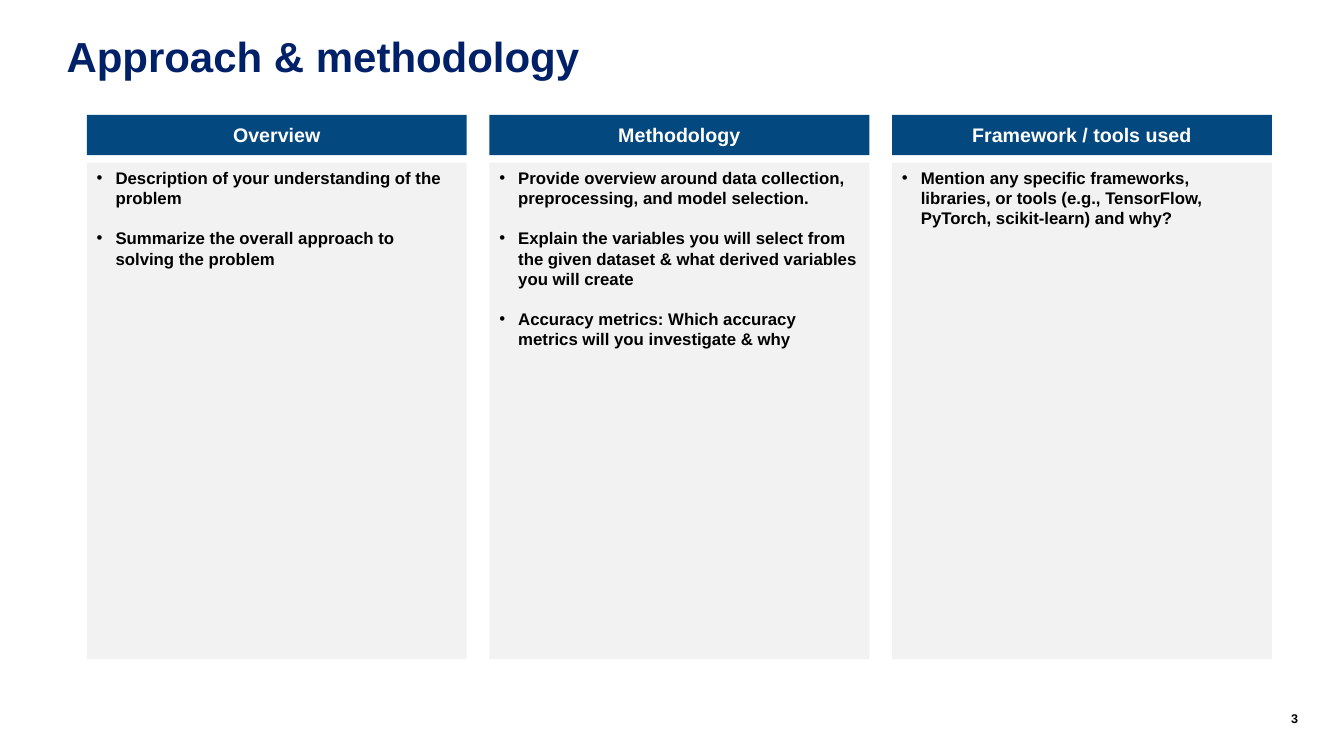
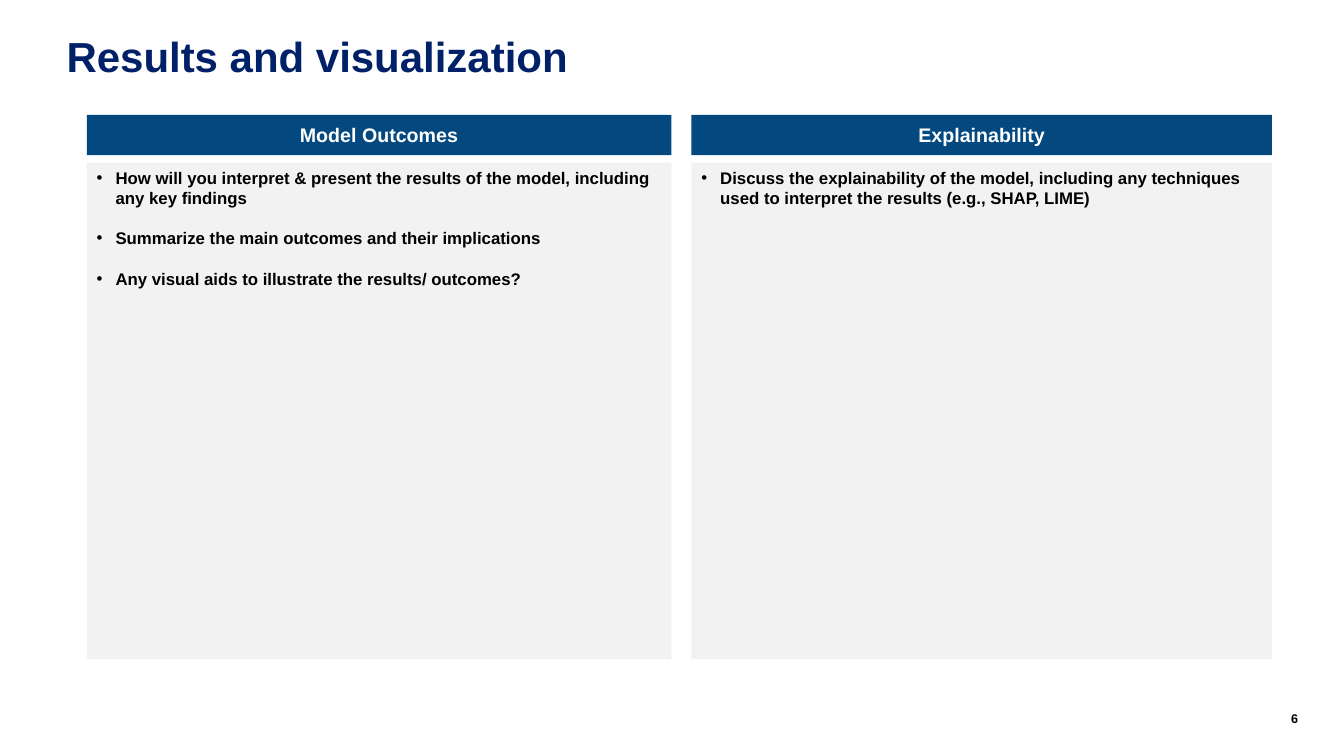
"""Build two slides of headed panels: approach and results."""
from dataclasses import dataclass

from lxml import etree
from pptx import Presentation
from pptx.dml.color import RGBColor
from pptx.enum.shapes import MSO_SHAPE
from pptx.enum.text import MSO_ANCHOR, PP_ALIGN
from pptx.oxml.ns import qn
from pptx.util import Pt

RECTANGLE = MSO_SHAPE.RECTANGLE
TOP, MIDDLE = MSO_ANCHOR.TOP, MSO_ANCHOR.MIDDLE
LEFT, CENTER, RIGHT = PP_ALIGN.LEFT, PP_ALIGN.CENTER, PP_ALIGN.RIGHT

NAVY = RGBColor(0x00, 0x20, 0x68)
BLUE = RGBColor(0x03, 0x48, 0x7F)
GRAY = RGBColor(0xF2, 0xF2, 0xF2)
BLACK = RGBColor(0x00, 0x00, 0x00)
WHITE = RGBColor(0xFF, 0xFF, 0xFF)

FONT = "Arial"
CONTENT_LEFT, CONTENT_WIDTH = 62, 846.6
HEADER_TOP, HEADER_HEIGHT = 82, 28.8
BODY_TOP, BODY_HEIGHT = 116.2, 354.6
BODY_LINE = Pt(14.4)
BULLET_INDENT = 13.5
THIRD, WIDE, NARROW = 271.4, 417.6, 414.7


@dataclass(frozen=True)
class Panel:
    """A headed column of bullets."""
    header: str
    width: float
    bullets: tuple[str, ...]


@dataclass(frozen=True)
class PanelSlide:
    """A title, a slide number and its panels."""
    title: str
    number: int
    panels: tuple[Panel, ...]


SLIDES = (
    PanelSlide("Approach & methodology", 3, (
        Panel("Overview", THIRD, (
            "Description of your understanding of the problem",
            "Summarize the overall approach to solving the problem",
        )),
        Panel("Methodology", THIRD, (
            "Provide overview around data collection, preprocessing, and model selection.",
            "Explain the variables you will select from the given dataset "
            "& what derived variables you will create",
            "Accuracy metrics: Which accuracy metrics will you investigate & why",
        )),
        Panel("Framework / tools used", THIRD, (
            "Mention any specific frameworks, libraries, or tools "
            "(e.g., TensorFlow, PyTorch, scikit-learn) and why?",
        )),
    )),
    PanelSlide("Results and visualization", 6, (
        Panel("Model Outcomes", WIDE, (
            "How will you interpret & present the results of the model, "
            "including any key findings",
            "Summarize the main outcomes and their implications",
            "Any visual aids to illustrate the results/ outcomes?",
        )),
        Panel("Explainability", NARROW, (
            "Discuss the explainability of the model, including any techniques "
            "used to interpret the results (e.g., SHAP, LIME)",
        )),
    )),
)


def add_bullet(paragraph) -> None:
    """Give a paragraph a round bullet with a hanging indent."""
    properties = paragraph._p.get_or_add_pPr()
    properties.set("marL", str(Pt(BULLET_INDENT)))
    properties.set("indent", str(-Pt(BULLET_INDENT)))
    etree.SubElement(properties, qn("a:buFont")).set("typeface", FONT)
    etree.SubElement(properties, qn("a:buChar")).set("char", "•")


def write_text(shape, *lines: str, size: float, color: RGBColor, align=LEFT,
               anchor=TOP, line_spacing=None, gap: float = 0,
               bulleted: bool = False, inset: bool = True) -> None:
    """Write bold paragraphs into a shape."""
    frame = shape.text_frame
    frame.word_wrap = True
    frame.vertical_anchor = anchor
    if not inset:
        frame.margin_left = frame.margin_right = Pt(0)
        frame.margin_top = frame.margin_bottom = Pt(0)
    for index, line in enumerate(lines):
        paragraph = frame.add_paragraph() if index else frame.paragraphs[0]
        paragraph.alignment = align
        paragraph.line_spacing = line_spacing
        paragraph.space_before = Pt(gap if index else 0)
        if bulleted:
            add_bullet(paragraph)
        run = paragraph.add_run()
        run.text = line
        run.font.name = FONT
        run.font.size = Pt(size)
        run.font.bold = True
        run.font.color.rgb = color


def add_text_box(slide, left: float, top: float, width: float, height: float,
                 text: str, **text_format) -> None:
    """Add a text box without insets."""
    shape = slide.shapes.add_textbox(Pt(left), Pt(top), Pt(width), Pt(height))
    write_text(shape, text, inset=False, **text_format)


def add_block(slide, left: float, top: float, width: float, height: float,
              fill: RGBColor):
    """Add a plain filled rectangle."""
    shape = slide.shapes.add_shape(RECTANGLE, Pt(left), Pt(top), Pt(width), Pt(height))
    shape.shadow.inherit = False
    shape.fill.solid()
    shape.fill.fore_color.rgb = fill
    shape.line.fill.background()
    return shape


def add_panel(slide, panel: Panel, left: float) -> None:
    """Draw a panel's header band and bulleted body."""
    header = add_block(slide, left, HEADER_TOP, panel.width, HEADER_HEIGHT, BLUE)
    write_text(header, panel.header, size=14, color=WHITE, align=CENTER, anchor=MIDDLE)
    body = add_block(slide, left, BODY_TOP, panel.width, BODY_HEIGHT, GRAY)
    write_text(body, *panel.bullets, size=12, color=BLACK, line_spacing=BODY_LINE,
               gap=BODY_LINE.pt, bulleted=True)


def add_panel_slide(presentation, content: PanelSlide) -> None:
    """Add a slide and spread its panels evenly over the content width."""
    slide = presentation.slides.add_slide(presentation.slide_layouts[6])
    add_text_box(slide, 47.5, 24.5, 692.6, 36.7, content.title,
                 size=30, color=NAVY, line_spacing=0.95)
    add_text_box(slide, 890.6, 507.6, 36.7, 14.4, str(content.number),
                 size=9, color=BLACK, align=RIGHT)
    used_width = sum(panel.width for panel in content.panels)
    gap = (CONTENT_WIDTH - used_width) / (len(content.panels) - 1)
    left = CONTENT_LEFT
    for panel in content.panels:
        add_panel(slide, panel, left)
        left += panel.width + gap


def main() -> None:
    """Build and save the presentation."""
    presentation = Presentation()
    presentation.slide_width, presentation.slide_height = Pt(960), Pt(540)
    for content in SLIDES:
        add_panel_slide(presentation, content)
    presentation.save("out.pptx")


if __name__ == "__main__":
    main()
